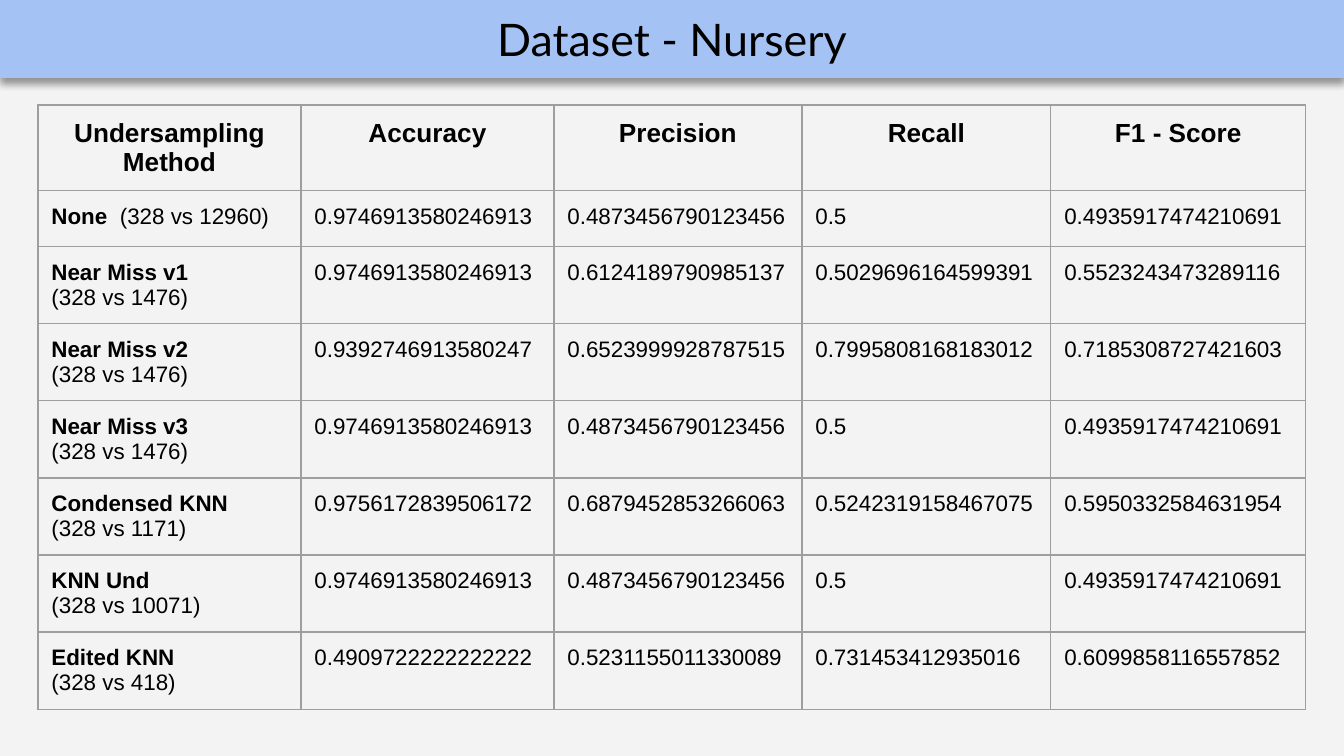
from lxml import etree
from pptx import Presentation, util as u
from pptx.dml.color import RGBColor
from pptx.enum import text
from pptx.oxml import ns

# Content
TITLE = "Dataset - Nursery"
HEADERS = ["Undersampling Method", "Accuracy", "Precision", "Recall", "F1 - Score"]
# method, separator, sample counts, scores
RESULTS = [
    ("None", "  ", "(328 vs 12960)",
     ["0.9746913580246913", "0.4873456790123456", "0.5", "0.4935917474210691"]),
    ("Near Miss v1 ", "\v", "(328 vs 1476)",
     ["0.9746913580246913", "0.6124189790985137", "0.5029696164599391", "0.5523243473289116"]),
    ("Near Miss v2", "\v", "(328 vs 1476)",
     ["0.9392746913580247", "0.6523999928787515", "0.7995808168183012", "0.7185308727421603"]),
    ("Near Miss v3", "\v", "(328 vs 1476)",
     ["0.9746913580246913", "0.4873456790123456", "0.5", "0.4935917474210691"]),
    ("Condensed KNN", "\v", "(328 vs 1171)",
     ["0.9756172839506172", "0.6879452853266063", "0.5242319158467075", "0.5950332584631954"]),
    ("KNN Und", "\v", "(328 vs 10071)",
     ["0.9746913580246913", "0.4873456790123456", "0.5", "0.4935917474210691"]),
    ("Edited KNN", "\v", "(328 vs 418)",
     ["0.4909722222222222", "0.5231155011330089", "0.731453412935016", "0.6099858116557852"]),
]
COLORS = {"page": "F3F3F3", "banner": "A4C2F4", "grid": "9E9E9E", "text": "000000"}

# Lengths in pixels
SCALE = 914400 / 134.4
PAGE_W, PAGE_H, BANNER_H = 1344, 756, 78
TABLE_X, TABLE_Y = 38, 105
COLUMNS = [263, 253, 248, 249, 255]
ROWS = [85, 56] + [77] * 6


def px(length):
    return u.Emu(round(length * SCALE))


def rgb(name):
    return RGBColor.from_string(COLORS[name])


def set_font(para, name, size, bold=False):
    para.font.name = name
    para.font.size = u.Pt(size)
    para.font.bold = bold
    para.font.color.rgb = rgb("text")


def sub(parent, tag, **attributes):
    return etree.SubElement(parent, ns.qn(tag), attributes)


def style_cell(cell):
    cell.margin_left = cell.margin_right = u.Inches(0.1)
    cell.margin_top = cell.margin_bottom = u.Inches(0.1)
    properties = cell._tc.get_or_add_tcPr()
    for side in ("a:lnL", "a:lnR", "a:lnT", "a:lnB"):
        line = sub(properties, side, w=str(u.Pt(0.75)))
        sub(sub(line, "a:solidFill"), "a:srgbClr", val=COLORS["grid"])
    cell.fill.background()


deck = Presentation()
deck.slide_width, deck.slide_height = px(PAGE_W), px(PAGE_H)
page = deck.slides.add_slide(deck.slide_layouts[5])
page.background.fill.solid()
page.background.fill.fore_color.rgb = rgb("page")

# Title banner with a soft shadow below
banner = page.shapes.title
banner.left, banner.top, banner.width, banner.height = 0, 0, px(PAGE_W), px(BANNER_H)
banner.fill.solid()
banner.fill.fore_color.rgb = rgb("banner")
banner.line.fill.background()
banner.shadow.inherit = False
effects = banner._element.spPr.find(ns.qn("a:effectLst"))
shadow = sub(effects, "a:outerShdw", blurRad=str(u.Pt(4)), dist=str(u.Pt(3)),
             dir="5400000", algn="bl", rotWithShape="0")
sub(sub(shadow, "a:srgbClr", val=COLORS["text"]), "a:alpha", val="40000")
frame = banner.text_frame
frame.text = TITLE
frame.auto_size = text.MSO_AUTO_SIZE.NONE
frame.vertical_anchor = text.MSO_ANCHOR.MIDDLE
frame.margin_left = frame.margin_right = u.Inches(0.1)
frame.margin_top = frame.margin_bottom = u.Inches(0.1)
frame.paragraphs[0].alignment = text.PP_ALIGN.CENTER
set_font(frame.paragraphs[0], "Lato", 24)

# Results table
table = page.shapes.add_table(len(ROWS), len(COLUMNS), px(TABLE_X), px(TABLE_Y),
                              px(sum(COLUMNS)), px(sum(ROWS))).table
table.first_row = table.horz_banding = False
for column, width in zip(table.columns, COLUMNS):
    column.width = px(width)
for row, height in zip(table.rows, ROWS):
    row.height = px(height)
for cell in table.iter_cells():
    style_cell(cell)

for cell, label in zip(table.rows[0].cells, HEADERS):
    para = cell.text_frame.paragraphs[0]
    para.text = label
    para.alignment = text.PP_ALIGN.CENTER
    set_font(para, "Arial", 14, bold=True)

for row, (method, separator, counts, scores) in zip(list(table.rows)[1:], RESULTS):
    for cell, value in zip(row.cells, [method + separator + counts] + scores):
        para = cell.text_frame.paragraphs[0]
        para.text = value
        set_font(para, "Arial", 12)
    # Method name in bold, counts in regular weight
    para = row.cells[0].text_frame.paragraphs[0]
    if separator == "\v":
        para.runs[0].font.bold = True
    else:
        para.runs[0].text = method
        para.runs[0].font.bold = True
        para.add_run().text = separator + counts

deck.save("out.pptx")
